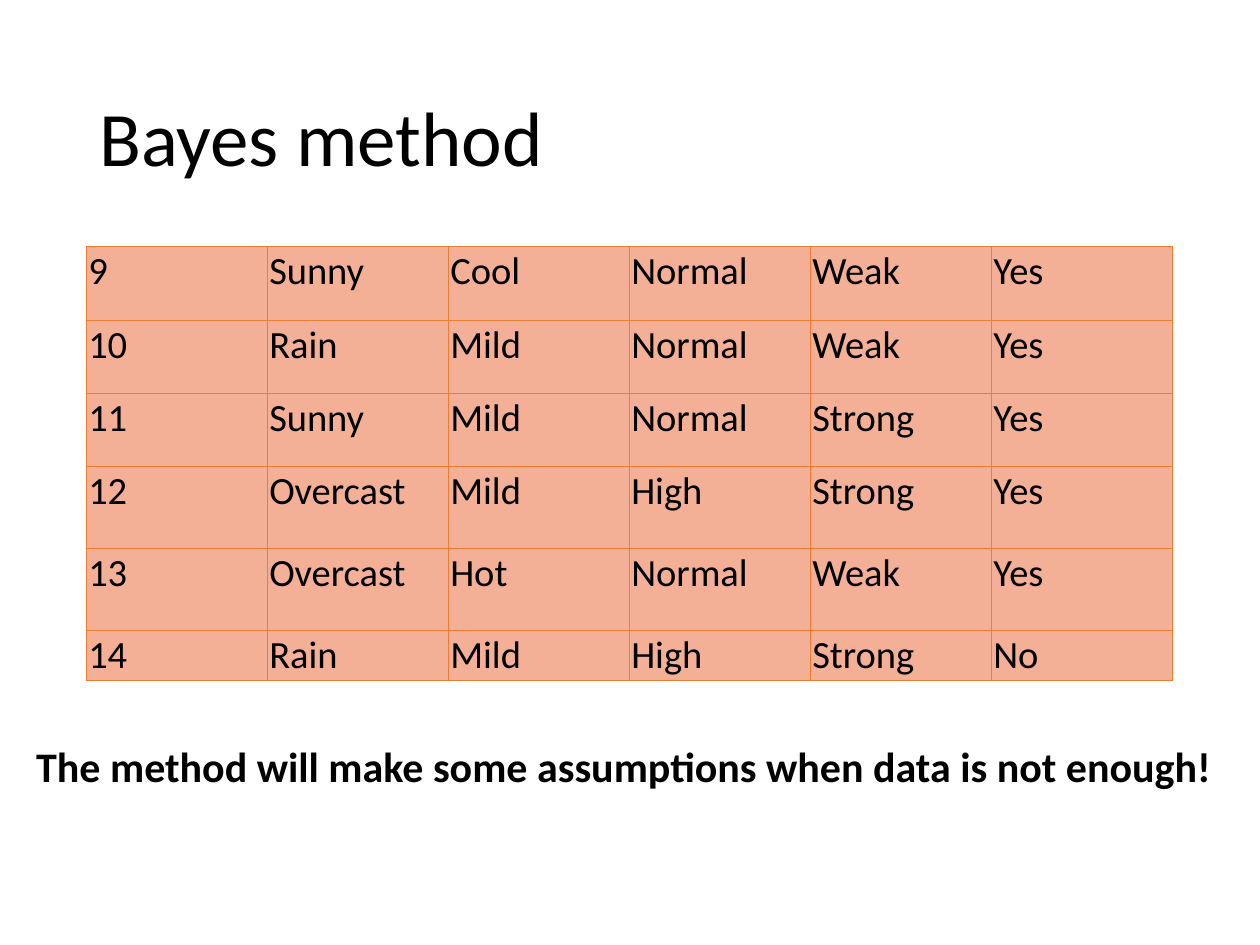
from lxml import etree
from pptx import Presentation
from pptx import util as u
from pptx.dml import color
from pptx.enum import text
from pptx.oxml import ns

COLORS = {"text": "000000", "cell": "F4B096", "border": "ED7D31", "background": "FFFFFF"}
FONT = "Calibri"
ROWS = [
    ("9", "Sunny", "Cool", "Normal", "Weak", "Yes"),
    ("10", "Rain", "Mild", "Normal", "Weak", "Yes"),
    ("11", "Sunny", "Mild", "Normal", "Strong", "Yes"),
    ("12", "Overcast", "Mild", "High", "Strong", "Yes"),
    ("13", "Overcast", "Hot", "Normal", "Weak", "Yes"),
    ("14", "Rain", "Mild", "High", "Strong", "No"),
]
ROW_HEIGHTS = (1.48, 1.48, 1.48, 1.65, 1.65, 0.89)


def rgb(name):
    """Return the named colour."""
    return color.RGBColor.from_string(COLORS[name])


def add_run(paragraph, words, size, bold=False):
    """Add a formatted run to the paragraph."""
    run = paragraph.add_run()
    run.text = words
    run.font.name = FONT
    run.font.size = u.Pt(size)
    run.font.bold = bold
    run.font.color.rgb = rgb("text")


def set_borders(cell):
    """Draw a thin line on every side of the cell."""
    properties = cell._tc.get_or_add_tcPr()
    for index, side in enumerate(("lnL", "lnR", "lnT", "lnB")):
        line = etree.Element(ns.qn(f"a:{side}"), w=str(u.Pt(0.5)))
        fill = etree.SubElement(line, ns.qn("a:solidFill"))
        etree.SubElement(fill, ns.qn("a:srgbClr"), val=COLORS["border"])
        properties.insert(index, line)


def place_title(slide, left, top, width, height):
    """Place the slide title in the given box."""
    title = slide.shapes.title
    title.left, title.top, title.width, title.height = left, top, width, height
    title.text_frame.vertical_anchor = text.MSO_ANCHOR.MIDDLE
    paragraph = title.text_frame.paragraphs[0]
    paragraph.alignment = text.PP_ALIGN.LEFT
    paragraph.line_spacing = 0.9
    add_run(paragraph, "Bayes method", 44)


def place_weather_table(slide, left, top, width, height):
    """Place the table of weather observations in the given box."""
    table = slide.shapes.add_table(len(ROWS), len(ROWS[0]), left, top, width, height).table
    table.first_row = table.horz_banding = False
    for column in table.columns:
        column.width = width // len(ROWS[0])
    for row, row_height, values in zip(table.rows, ROW_HEIGHTS, ROWS):
        row.height = u.Cm(row_height)
        for cell, value in zip(row.cells, values):
            cell.margin_left = cell.margin_right = u.Cm(0.03)
            cell.margin_top = cell.margin_bottom = u.Cm(0.03)
            cell.fill.solid()
            cell.fill.fore_color.rgb = rgb("cell")
            set_borders(cell)
            add_run(cell.text_frame.paragraphs[0], value, 22)


def place_remark(slide, left, top, width, height):
    """Place the bold closing remark in the given box."""
    frame = slide.shapes.add_textbox(left, top, width, height).text_frame
    frame.word_wrap = False
    frame.auto_size = text.MSO_AUTO_SIZE.SHAPE_TO_FIT_TEXT
    remark = "The method will make some assumptions when data is not enough!"
    add_run(frame.paragraphs[0], remark, 24, bold=True)


def main():
    """Build and save the presentation."""
    presentation = Presentation()
    presentation.slide_width, presentation.slide_height = u.Cm(25.4), u.Cm(19.05)
    slide = presentation.slides.add_slide(presentation.slide_layouts[5])
    slide.background.fill.solid()
    slide.background.fill.fore_color.rgb = rgb("background")
    left, width = u.Cm(1.75), u.Cm(21.9)
    place_title(slide, left, u.Cm(1.02), width, u.Cm(3.68))
    place_weather_table(slide, left, u.Cm(4.97), width, u.Cm(sum(ROW_HEIGHTS)))
    place_remark(slide, u.Cm(0.48), u.Cm(14.81), u.Cm(24.43), u.Cm(1.27))
    presentation.save("out.pptx")


if __name__ == "__main__":
    main()
